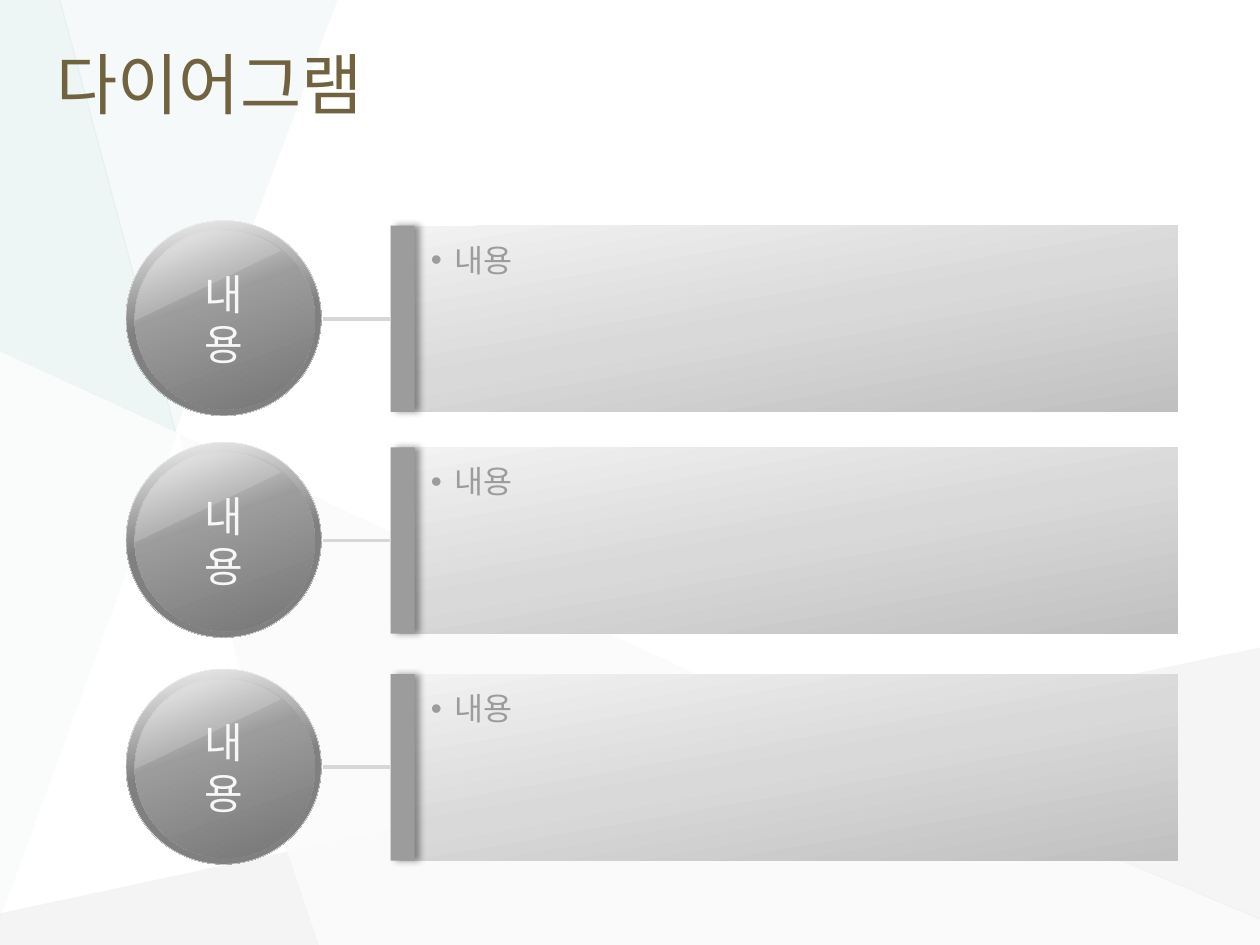
from lxml import etree
from pptx import Presentation
from pptx.dml.color import RGBColor
from pptx.enum.shapes import MSO_CONNECTOR as Connector, MSO_SHAPE as Shape
from pptx.enum.text import MSO_ANCHOR as Anchor, PP_ALIGN as Align
from pptx.oxml import parse_xml
from pptx.oxml.ns import nsdecls, qn
from pptx.util import Inches, Pt

FONT = "Arial"
BROWN = RGBColor(0x71, 0x63, 0x40)
GRAY = RGBColor(0x9D, 0x9C, 0x9C)
MID_GRAY = RGBColor(0x80, 0x80, 0x80)
DARK_GRAY = RGBColor(0x76, 0x75, 0x75)
LINE_GRAY = RGBColor(0xD7, 0xD7, 0xD7)
GLOSS = RGBColor(0xEB, 0xEB, 0xEB)
RIM_LIGHT = RGBColor(0xF2, 0xF2, 0xF2)
BALL_LIGHT = RGBColor(0xF5, 0xF5, 0xF5)
LABEL_WHITE = RGBColor(0xF7, 0xF7, 0xF7)
PANEL_LIGHT = RGBColor(0xF3, 0xF2, 0xF2)
PANEL_MID = RGBColor(0xDA, 0xD9, 0xD9)
PANEL_DARK = RGBColor(0xC1, 0xC0, 0xC0)
FACET_WARM = RGBColor(0xF3, 0xF2, 0xF2)
FACET_GRAY = RGBColor(0xB6, 0xB8, 0xBA)
FACET_SILVER = RGBColor(0xC6, 0xC8, 0xCA)
FACET_PALE = RGBColor(0xE0, 0xED, 0xED)
FACET_TEAL = RGBColor(0xC1, 0xDB, 0xDB)


def fill_solid(shape, color, opacity=100):
    """Plain fill without outline or shadow; opacity in percent."""
    shape.shadow.inherit = False
    shape.line.fill.background()
    shape.fill.solid()
    shape.fill.fore_color.rgb = color
    if opacity < 100:
        color_element = shape._element.spPr.find(qn("a:solidFill"))[0]
        etree.SubElement(color_element, qn("a:alpha"), val=str(opacity * 1000))


def fill_gradient(shape, stops, angle):
    """Linear gradient; stops are (percent, colour), angle runs clockwise."""
    fill_solid(shape, stops[0][1])
    stop_xml = "".join(
        f'<a:gs pos="{position * 1000}"><a:srgbClr val="{color}"/></a:gs>'
        for position, color in stops)
    gradient = parse_xml(
        f'<a:gradFill {nsdecls("a")} rotWithShape="1"><a:gsLst>{stop_xml}</a:gsLst>'
        f'<a:lin ang="{angle * 60000}" scaled="0"/></a:gradFill>')
    properties = shape._element.spPr
    properties.replace(properties.find(qn("a:solidFill")), gradient)


presentation = Presentation()
presentation.slide_width = Inches(10)
presentation.slide_height = Inches(7.5)
slide = presentation.slides.add_slide(presentation.slide_layouts[6])
shapes = slide.shapes

# Background facets: colour, opacity, corners
facets = [
    (FACET_WARM, 26, [(1.42, 3.44), (2.28, 6.76), (6.6, 5.85)]),
    (FACET_GRAY, 15, [(2.28, 6.76), (0, 7.25), (0, 7.5), (2.53, 7.5)]),
    (FACET_PALE, 31, [(2.68, 0), (0.47, 0), (1.39, 3.43)]),
    (FACET_SILVER, 17, [(10, 5.14), (6.59, 5.85), (10, 7.3)]),
    (FACET_GRAY, 6, [(6.59, 5.85), (2.28, 6.76), (2.53, 7.5), (10, 7.5), (10, 7.29)]),
    (FACET_TEAL, 27, [(0.48, 0), (0, 0), (0, 2.79), (1.4, 3.43)]),
    (FACET_TEAL, 8, [(0, 2.79), (0, 7.3), (1.41, 3.43)]),
]
for color, opacity, corners in facets:
    points = [(Inches(x), Inches(y)) for x, y in corners]
    builder = shapes.build_freeform(*points[0])
    builder.add_line_segments(points[1:], close=True)
    fill_solid(builder.convert_to_shape(), color, opacity)

# Title
title = shapes.add_textbox(Inches(0.35), Inches(0.14), Inches(9.27), Inches(1.03))
title.text_frame.word_wrap = True
title.text_frame.vertical_anchor = Anchor.MIDDLE
title.text_frame.text = "다이어그램"
font = title.text_frame.paragraphs[0].runs[0].font
font.name, font.size, font.color.rgb = FONT, Pt(38), BROWN

# Rows: glossy ball, connecting line, text panel
for top in (1.75, 3.51, 5.31):
    # Ball with rim, body and highlight
    rim = shapes.add_shape(Shape.OVAL, Inches(1), Inches(top), Inches(1.55), Inches(1.55))
    fill_gradient(rim, [(0, RIM_LIGHT), (50, MID_GRAY), (100, MID_GRAY)], 80)
    rim.line.color.rgb = RIM_LIGHT
    rim.line.width = Pt(0.25)
    body = shapes.add_shape(
        Shape.OVAL, Inches(1.07), Inches(top + 0.07), Inches(1.43), Inches(1.43))
    fill_gradient(body, [(0, BALL_LIGHT), (40, GRAY), (100, DARK_GRAY)], 70)
    highlight = shapes.add_shape(
        Shape.CHORD, Inches(1.07), Inches(top + 0.08), Inches(1.43), Inches(1.43))
    highlight.adjustments[0] = 53.95
    highlight.adjustments[1] = 131.3
    highlight.rotation = 90
    fill_solid(highlight, GLOSS, 20)

    # Ball label, narrow enough to break into two lines
    label = shapes.add_textbox(Inches(1.38), Inches(top + 0.53), Inches(0.8), Inches(0.5))
    frame = label.text_frame
    frame.word_wrap = True
    frame.margin_left = frame.margin_right = Inches(0.15)
    frame.vertical_anchor = Anchor.MIDDLE
    frame.text = "내용"
    paragraph = frame.paragraphs[0]
    paragraph.alignment = Align.CENTER
    font = paragraph.runs[0].font
    font.name, font.size, font.color.rgb = FONT, Pt(24), LABEL_WHITE

    # Panel with bulleted text
    panel = shapes.add_shape(
        Shape.RECTANGLE, Inches(3.18), Inches(top + 0.04), Inches(6.17), Inches(1.48))
    fill_gradient(panel, [(0, PANEL_LIGHT), (50, PANEL_MID), (100, PANEL_DARK)], 80)
    frame = panel.text_frame
    frame.word_wrap = True
    frame.vertical_anchor = Anchor.TOP
    frame.margin_left, frame.margin_top = Inches(0.24), Inches(0.12)
    frame.text = "내용"
    paragraph = frame.paragraphs[0]
    paragraph.alignment = Align.LEFT
    paragraph_properties = paragraph._p.get_or_add_pPr()
    paragraph_properties.set("marL", str(Inches(0.19)))
    paragraph_properties.set("indent", str(-Inches(0.19)))
    etree.SubElement(paragraph_properties, qn("a:buFont"), typeface=FONT)
    etree.SubElement(paragraph_properties, qn("a:buChar"), char="•")
    font = paragraph.runs[0].font
    font.name, font.size, font.color.rgb = FONT, Pt(18), GRAY

    # Edge bar casting a shadow to the right
    bar = shapes.add_shape(
        Shape.RECTANGLE, Inches(3.1), Inches(top + 0.04), Inches(0.19), Inches(1.48))
    fill_solid(bar, GRAY)
    shadow = etree.SubElement(
        bar._element.spPr.find(qn("a:effectLst")), qn("a:outerShdw"),
        blurRad=str(Pt(4)), dist=str(Pt(3)), dir="0", algn="l", rotWithShape="0")
    shadow_color = etree.SubElement(shadow, qn("a:srgbClr"), val="000000")
    etree.SubElement(shadow_color, qn("a:alpha"), val="40000")

    # Line from ball to panel
    link = shapes.add_connector(
        Connector.STRAIGHT, Inches(2.56), Inches(top + 0.78), Inches(3.1), Inches(top + 0.78))
    link.line.color.rgb = LINE_GRAY
    link.line.width = Pt(2.25)
    etree.SubElement(link._element.spPr, qn("a:effectLst"))

presentation.save("out.pptx")
